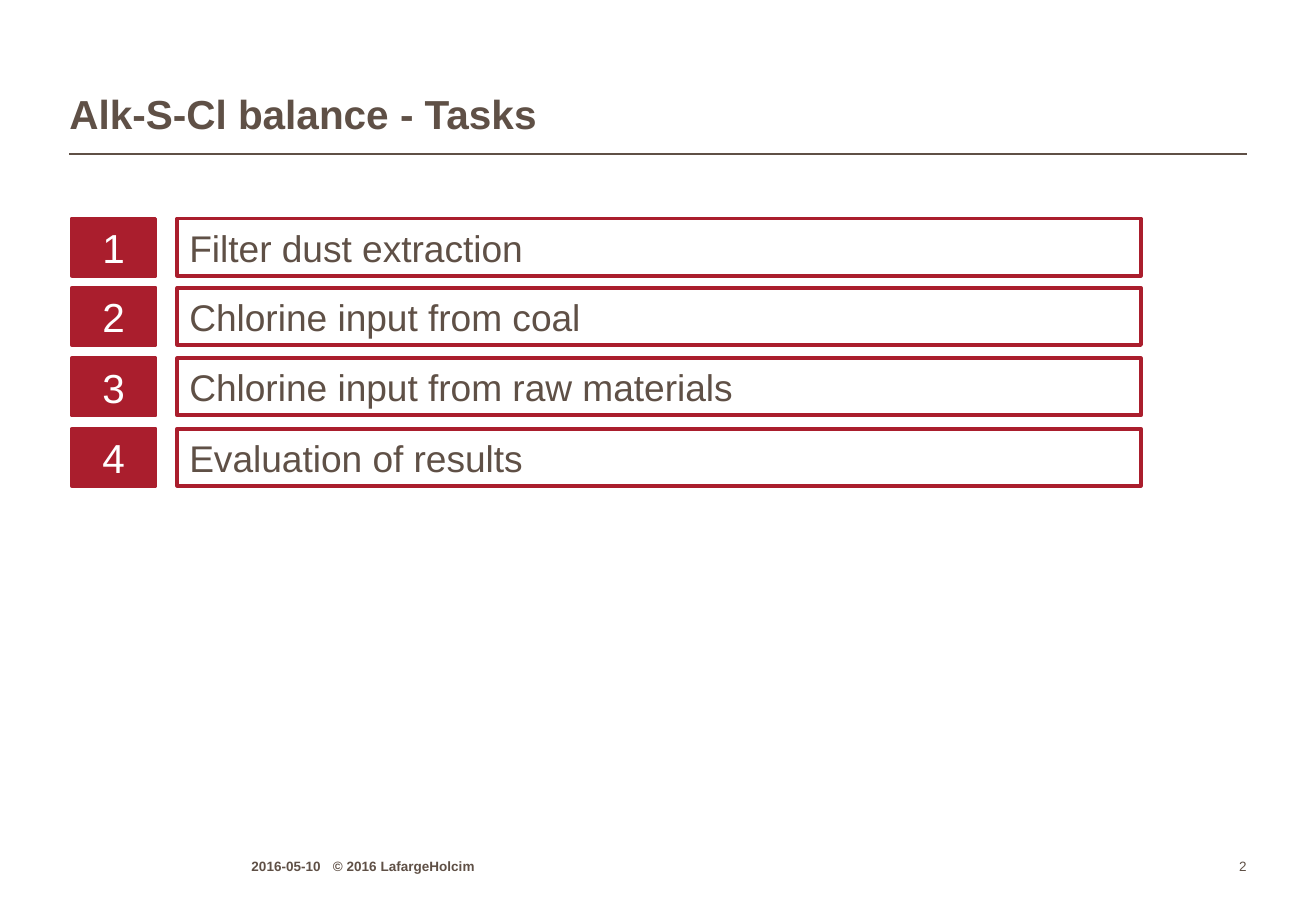
from lxml import etree
from pptx import Presentation
from pptx.dml.color import RGBColor
from pptx.enum.shapes import MSO_CONNECTOR, MSO_SHAPE
from pptx.enum.text import MSO_ANCHOR, PP_ALIGN
from pptx.oxml.ns import qn
from pptx.util import Pt

RECTANGLE = MSO_SHAPE.RECTANGLE
STRAIGHT = MSO_CONNECTOR.STRAIGHT
MIDDLE, BOTTOM = MSO_ANCHOR.MIDDLE, MSO_ANCHOR.BOTTOM
LEFT, CENTER, RIGHT = PP_ALIGN.LEFT, PP_ALIGN.CENTER, PP_ALIGN.RIGHT

EMU_PER_PX = 9144  # 100 px to the inch
FONT = "Arial"
BROWN, RED, WHITE = "5F5046", "AA1E2D", "FFFFFF"
TASKS = [
    "Filter dust extraction",
    "Chlorine input from coal",
    "Chlorine input from raw materials",
    "Evaluation of results",
]


def px(*lengths):
    return [length * EMU_PER_PX for length in lengths]


def color(hex_string):
    return RGBColor.from_string(hex_string)


def write(paragraph, text, size, hex_color, bold=False, align=LEFT):
    paragraph.alignment = align
    run = paragraph.add_run()
    run.text = text
    run.font.name = FONT
    run.font.size = Pt(size)
    run.font.bold = bold
    run.font.color.rgb = color(hex_color)


def add_plain_text(slide, box):
    """Text frame without margins, standing on the bottom of its box."""
    frame = slide.shapes.add_textbox(*px(*box)).text_frame
    frame.margin_left = frame.margin_top = 0
    frame.margin_right = frame.margin_bottom = 0
    frame.word_wrap = True
    frame.vertical_anchor = BOTTOM
    return frame.paragraphs[0]


def add_task_cell(slide, box, text, size, text_color, fill=None, align=LEFT):
    cell = slide.shapes.add_shape(RECTANGLE, *px(*box))
    cell.shadow.inherit = False
    if fill:
        cell.fill.solid()
        cell.fill.fore_color.rgb = color(fill)
    else:
        cell.fill.background()
    cell.line.color.rgb = color(RED)
    cell.line.width = Pt(2.25)
    cell.text_frame.word_wrap = True
    cell.text_frame.vertical_anchor = MIDDLE
    write(cell.text_frame.paragraphs[0], text, size, text_color, align=align)


def add_header(slide, x, y, width, height):
    # Rule under the title
    rule_y, rule_gap = y + height, 13
    rule = slide.shapes.add_connector(
        STRAIGHT, *px(x, rule_y, x + width, rule_y))
    rule.line.color.rgb = color(BROWN)
    rule.line.width = Pt(1)
    etree.SubElement(rule._element.spPr, qn("a:effectLst"))

    # Title
    title = add_plain_text(slide, (x, y, width, height - rule_gap))
    title.line_spacing = 0.95
    write(title, "Alk-S-Cl balance - Tasks", 24, BROWN, bold=True)


def add_task_list(slide, x, y, width, height):
    row_height, number_width, gap = 47, 69, 18
    label_offset = number_width + gap
    for index, task in enumerate(TASKS):
        top = y + index * (height - row_height) // (len(TASKS) - 1)
        add_task_cell(slide, (x, top, number_width, row_height),
                      str(index + 1), 24, WHITE, fill=RED, align=CENTER)
        add_task_cell(
            slide, (x + label_offset, top, width - label_offset, row_height),
            task, 22, BROWN)


def add_footer(slide, x, y, width, height):
    # Date and copyright, set apart by a tab stop
    copyright_line = add_plain_text(slide, (x, y, 346, height))
    tabs = etree.SubElement(
        copyright_line._p.get_or_add_pPr(), qn("a:tabLst"))
    etree.SubElement(tabs, qn("a:tab"), pos=str(px(67)[0]), algn="l")
    write(copyright_line, "2016-05-10\t© 2016 LafargeHolcim", 8, BROWN,
          bold=True)

    # Page number
    number_width = 47
    page_number = add_plain_text(
        slide, (x + width - number_width, y, number_width, height))
    write(page_number, "2", 8, BROWN, align=RIGHT)


def main():
    deck = Presentation()
    deck.slide_width, deck.slide_height = px(1083, 750)
    slide = deck.slides.add_slide(deck.slide_layouts[6])
    slide.background.fill.solid()
    slide.background.fill.fore_color.rgb = color(WHITE)
    add_header(slide, 57, 21, 969, 106)
    add_task_list(slide, 59, 180, 880, 220)
    add_footer(slide, 207, 702, 819, 18)
    deck.save("out.pptx")


if __name__ == "__main__":
    main()
